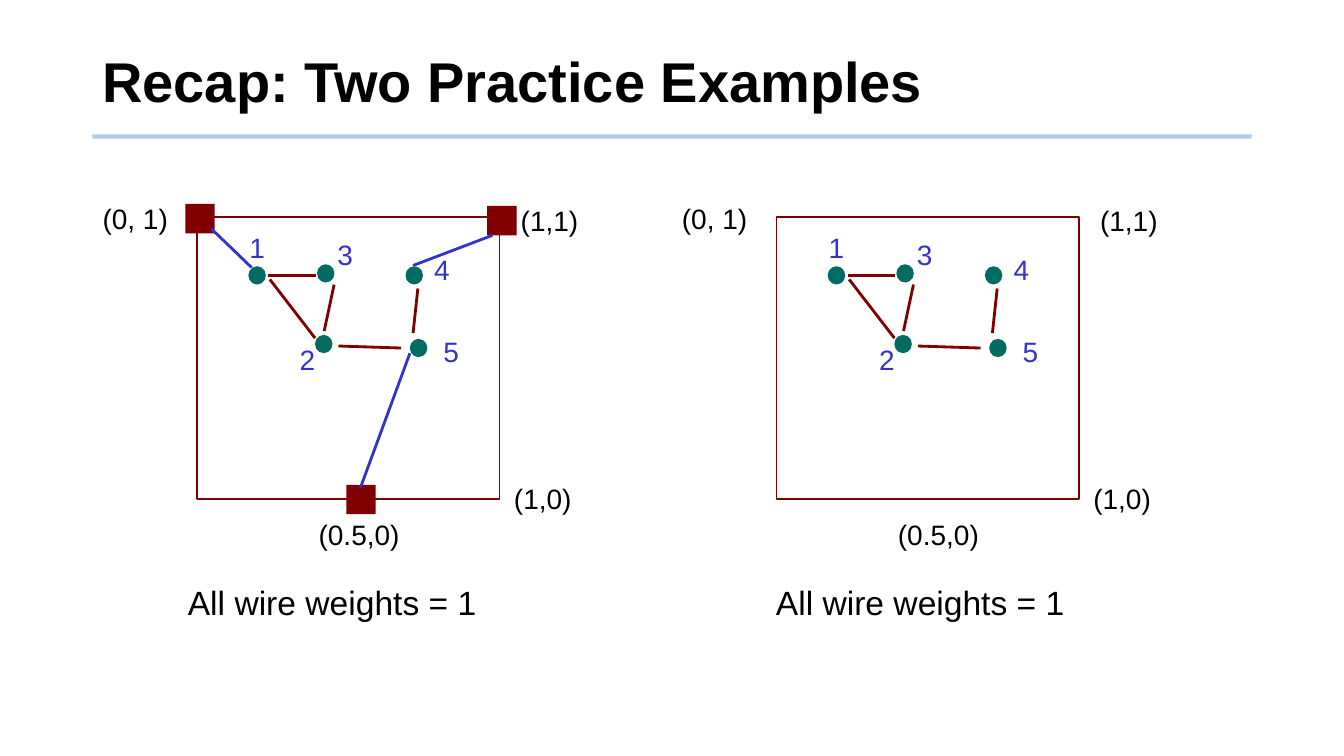
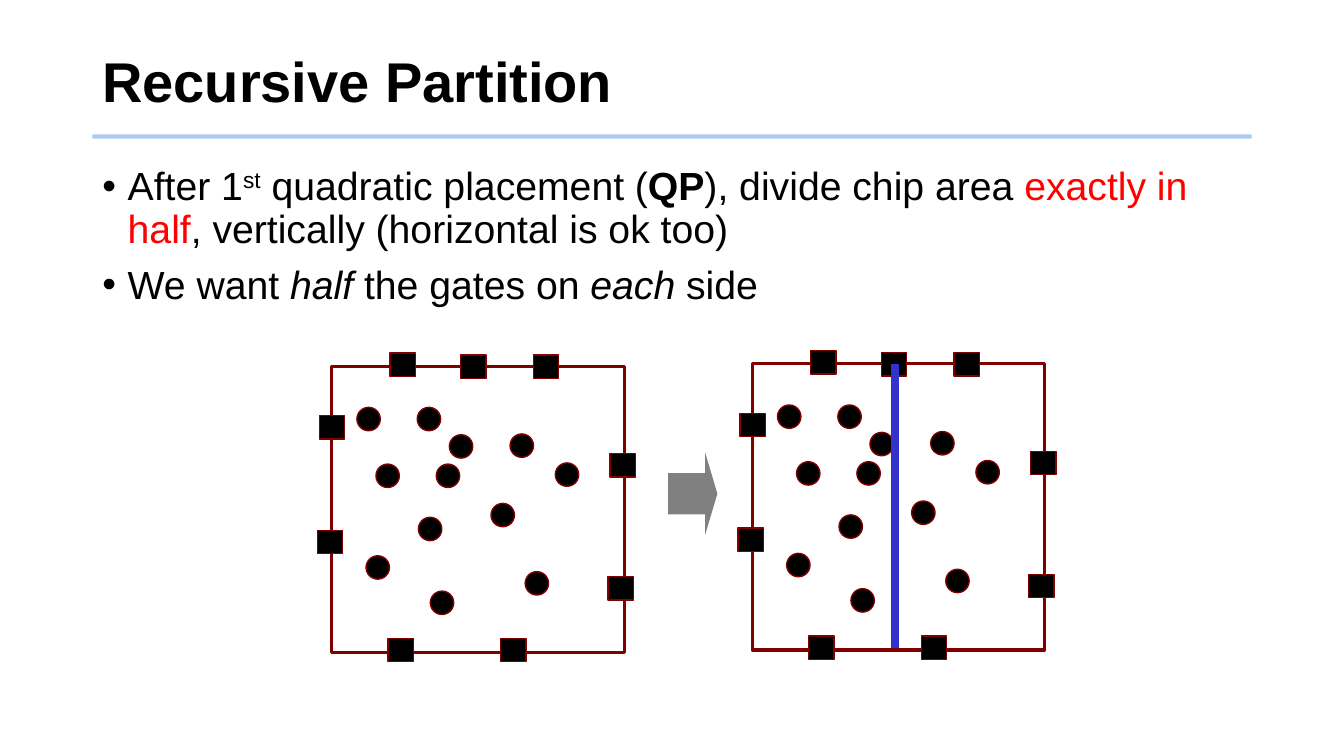
from lxml import etree
from pptx import Presentation
from pptx import util as u
from pptx.dml import color
from pptx.enum import shapes, text
from pptx.oxml import ns

Cm, Pt = u.Cm, u.Pt
BOX = shapes.MSO_SHAPE.RECTANGLE
DOT = shapes.MSO_SHAPE.OVAL
ARROW = shapes.MSO_SHAPE.RIGHT_ARROW
FONT = "Arial"
BLACK, MAROON, BLUE = "000000", "800000", "3333CC"
TEAL, RED, GRAY, SKY = "006B61", "FF0000", "808080", "5B9BD5"
LEFT, WIDE = 2.33, 29.21  # shared margin and text width

# Square of the wiring diagram; all points below are relative to it
NET_W, NET_H = 7.62, 7.11
GATES = [(1.51, 1.47), (3.19, 3.2), (3.24, 1.42), (5.47, 1.47), (5.58, 3.3)]
NAMES = [(1.51, 0.77), (2.78, 3.59), (3.73, 0.93), (6.17, 1.31), (6.4, 3.37)]
CORNERS = [("(0, 1)", -1.56, 0.04), ("(1,1)", 8.88, 0.09),
           ("(1,0)", 8.71, 7.09), ("(0.5,0)", 4.08, 7.99)]
WIRES = [(1.83, 1.57, 2.97, 3.05), (1.79, 1.48, 2.99, 1.48),
         (3.56, 3.25, 5.14, 3.3), (3.45, 1.7, 3.2, 2.87),
         (5.56, 1.8, 5.44, 2.92)]
PADS = [(0.07, 0.04), (4.13, 7.12), (7.68, 0.09)]
TIES = [(1.37, 1.27, 0.36, 0.3), (4.11, 6.83, 5.36, 3.43),
        (7.44, 0.46, 5.44, 1.22)]

# Chip area, with points relative to its corner
CHIP_W, CHIP_H = 7.37, 7.21
CELLS = [(0.93, 1.33), (1.41, 2.76), (1.16, 5.07), (3.26, 2.02),
         (2.78, 5.96), (4.31, 3.75), (2.48, 4.1), (5.17, 5.47),
         (2.45, 1.33), (2.93, 2.76), (4.79, 2), (5.93, 2.73)]
PINS = [(0.01, 1.54), (-0.04, 4.43), (1.74, 7.15), (4.58, 7.15),
        (7.28, 5.6), (7.33, 2.5), (5.4, 0.01), (3.57, 0.01), (1.79, -0.04)]


def rgb(code):
    return color.RGBColor.from_string(code)


def style(font, size, tint=BLACK, bold=None):
    font.name, font.size, font.bold = FONT, Pt(size), bold
    font.color.rgb = rgb(tint)


def shape(slide, kind, x, y, w, h, fill=None, line=None, width=1):
    item = slide.shapes.add_shape(kind, Cm(x), Cm(y), Cm(w), Cm(h))
    item.shadow.inherit = False
    if fill:
        item.fill.solid()
        item.fill.fore_color.rgb = rgb(fill)
    else:
        item.fill.background()
    if line:
        item.line.color.rgb = rgb(line)
        item.line.width = Pt(width)
    else:
        item.line.fill.background()
    return item


def spot(slide, kind, x, y, w, h, fill, line=None):
    """Place a shape by its centre."""
    shape(slide, kind, x - w / 2, y - h / 2, w, h, fill, line)


def wire(slide, x1, y1, x2, y2, tint, width=2):
    item = slide.shapes.add_connector(
        shapes.MSO_CONNECTOR.STRAIGHT, Cm(x1), Cm(y1), Cm(x2), Cm(y2))
    item.line.color.rgb = rgb(tint)
    item.line.width = Pt(width)
    etree.SubElement(item._element.spPr, ns.qn("a:effectLst"))
    return item


def frame(slide, x, y, w, h):
    area = slide.shapes.add_textbox(Cm(x), Cm(y), Cm(w), Cm(h)).text_frame
    area.word_wrap = True
    return area


def label(slide, words, x, y, w, size=20, tint=BLACK):
    """Centre one line of text on a point."""
    area = frame(slide, x - w / 2, y - 0.55, w, 1.1)
    area.vertical_anchor = text.MSO_ANCHOR.MIDDLE
    para = area.paragraphs[0]
    para.text = words
    para.alignment = text.PP_ALIGN.CENTER
    style(para.font, size, tint)


def page(deck, title):
    """Start a slide with its title and rule."""
    slide = deck.slides.add_slide(deck.slide_layouts[6])
    rule = wire(slide, LEFT, 3.44, LEFT + WIDE, 3.44, SKY, 3)
    tone = rule._element.spPr.find(".//" + ns.qn("a:srgbClr"))
    etree.SubElement(tone, ns.qn("a:alpha"), val="50000")
    area = frame(slide, LEFT, 0.73, WIDE, 2.79)
    area.vertical_anchor = text.MSO_ANCHOR.MIDDLE
    para = area.paragraphs[0]
    para.text = title
    para.line_spacing = 0.9
    style(para.font, 40, bold=True)
    return slide


def net(slide, x, y, mid, pads):
    """Wiring diagram; mid is the caption's centre."""
    shape(slide, BOX, x, y, NET_W, NET_H, line=MAROON)
    if pads:
        for px, py in PADS:
            spot(slide, BOX, x + px, y + py, 0.74, 0.74, MAROON)
    groups = [(WIRES, MAROON)] + ([(TIES, BLUE)] if pads else [])
    for lines, tint in groups:
        for x1, y1, x2, y2 in lines:
            width = 2.25 if y1 == y2 else 2
            wire(slide, x + x1, y + y1, x + x2, y + y2, tint, width)
    for num, ((gx, gy), (nx, ny)) in enumerate(zip(GATES, NAMES), 1):
        spot(slide, DOT, x + gx, y + gy, 0.44, 0.46, TEAL)
        label(slide, str(num), x + nx, y + ny, 0.95, tint=BLUE)
    for words, cx, cy in CORNERS:
        label(slide, words, x + cx, y + cy, 2.8)
    label(slide, "All wire weights = 1", x + mid, y + 9.7, 12, 24)


def chip(slide, x, y):
    """Chip outline with gates inside and pins on the edge."""
    shape(slide, BOX, x, y, CHIP_W, CHIP_H, line=MAROON, width=2.25)
    for cx, cy in CELLS:
        spot(slide, DOT, x + cx, y + cy, 0.59, 0.59, BLACK, MAROON)
    for px, py in PINS:
        spot(slide, BOX, x + px, y + py, 0.64, 0.59, BLACK, MAROON)


def points(slide, x, y, w, h, items):
    """Bulleted text; each run is its words and a mark."""
    area = frame(slide, x, y, w, h)
    for i, runs in enumerate(items):
        para = area.add_paragraph() if i else area.paragraphs[0]
        prop = para._p.get_or_add_pPr()
        prop.set("marL", str(Cm(0.64)))
        prop.set("indent", str(-Cm(0.64)))
        etree.SubElement(prop, ns.qn("a:buFont"), typeface=FONT)
        etree.SubElement(prop, ns.qn("a:buChar"), char="•")
        para.line_spacing = 0.9
        if i:
            para.space_before = Pt(10)
        style(para.font, 28)
        for words, mark in runs:
            run = para.add_run()
            run.text = words
            if mark == "bold":
                run.font.bold = True
            elif mark == "slant":
                run.font.italic = True
            elif mark == "red":
                run.font.color.rgb = rgb(RED)
            elif mark == "super":
                run.font._element.set("baseline", "30000")


def recap(deck):
    slide = page(deck, "Recap: Two Practice Examples")
    net(slide, 4.97, 5.47, 3.4, True)
    net(slide, 19.57, 5.47, 3.62, False)


def split(deck):
    slide = page(deck, "Recursive Partition")
    points(slide, LEFT, 4.08, WIDE, 13.08, [
        [("After 1", ""), ("st", "super"), (" quadratic placement (", ""),
         ("QP", "bold"), ("), divide chip area ", ""),
         ("exactly in half", "red"),
         (", vertically (horizontal is ok too)", "")],
        [("We want ", ""), ("half", "slant"), (" the gates on ", ""),
         ("each", "slant"), (" side", "")]])
    # Chip before and after the cut
    chip(slide, 8.36, 9.23)
    arrow = shape(slide, ARROW, 16.84, 11.4, 1.24, 2.08, GRAY)
    arrow.adjustments[0], arrow.adjustments[1] = 0.5, 0.25
    x, y = 18.96, 9.17
    chip(slide, x, y)
    wire(slide, x + 3.6, y, x + 3.6, y + 7.16, BLUE, 6)


def main():
    deck = Presentation()
    deck.slide_width, deck.slide_height = Cm(33.87), Cm(19.05)
    recap(deck)
    split(deck)
    deck.save("out.pptx")


if __name__ == "__main__":
    main()
